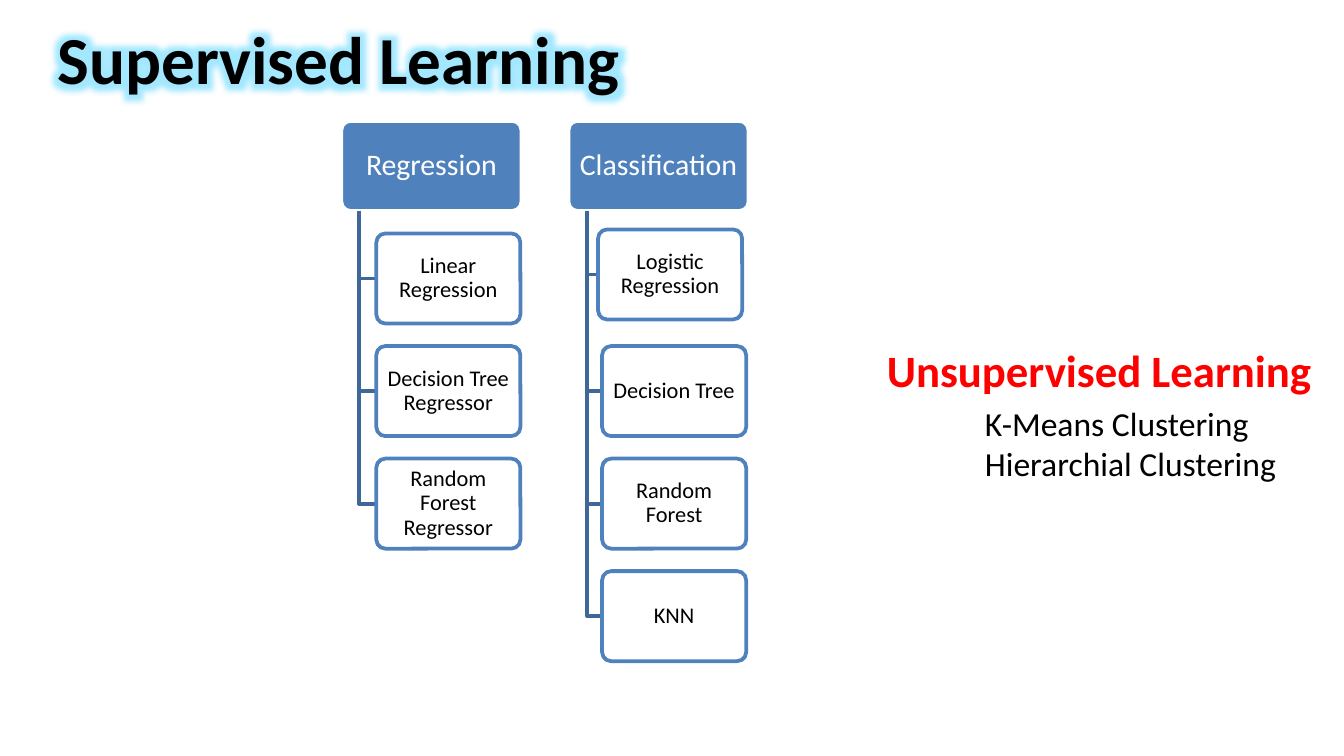
from lxml import etree
from pptx import Presentation, util as u
from pptx.dml.color import RGBColor
from pptx.enum import shapes, text
from pptx.oxml.ns import qn

COLORS = {"blue": "4F81BD", "branch": "3F6797", "white": "FFFFFF",
          "black": "000000", "red": "FF0000", "glow": "33CCFF"}
FONT = "Calibri"
SLIDE_WIDTH = 10
SLIDE_HEIGHT = SLIDE_WIDTH * 9 / 16

TITLE = "Supervised Learning"
# Heading, left edge, stem x, left edge of children, children with their (x, y) nudge
TREES = [
    ("Regression", 2.54, 2.67, 2.8, [
        ("Linear Regression", 0, 0),
        ("Decision Tree Regressor", 0, 0),
        ("Random Forest Regressor", 0, 0)]),
    ("Classification", 4.23, 4.37, 4.48, [
        ("Logistic Regression", -0.03, -0.03),
        ("Decision Tree", 0, 0),
        ("Random Forest", 0, 0),
        ("KNN", 0, 0)]),
]
# Lines, left, top, width, height, size, colour, bold
NOTES = [
    (["Unsupervised Learning"], 6.5, 2.5, 3.39, 0.5, 24, "red", True),
    (["K-Means Clustering", "Hierarchial Clustering"],
     7.23, 2.95, 2.39, 0.71, 18, "black", False),
]
TREE_TOP, BOX_HEIGHT = 0.9, 0.67
HEAD_WIDTH, CHILD_WIDTH = 2 * BOX_HEIGHT, 1.6 * BOX_HEIGHT
PITCH = 1.25 * BOX_HEIGHT


def rgb(name):
    return RGBColor.from_string(COLORS[name])


def style(font, size, color, bold=False):
    font.name, font.size, font.bold = FONT, u.Pt(size), bold
    font.color.rgb = rgb(color)


def set_alpha(color_element, percent):
    etree.SubElement(color_element, qn("a:alpha"), val=str(percent * 1000))


def add_glow(span, color, radius, alpha):
    effects = etree.Element(qn("a:effectLst"))
    glow = etree.SubElement(effects, qn("a:glow"), rad=str(u.Pt(radius)))
    set_alpha(etree.SubElement(glow, qn("a:srgbClr"), val=COLORS[color]), alpha)
    span.font._element.find(qn("a:solidFill")).addnext(effects)


def add_box(slide, label, left, top, width, fill, line, size, color):
    box = slide.shapes.add_shape(
        shapes.MSO_SHAPE.ROUNDED_RECTANGLE,
        *map(u.Inches, (left, top, width, BOX_HEIGHT)))
    box.adjustments[0] = 0.1
    box.shadow.inherit = False
    box.fill.solid()
    box.fill.fore_color.rgb = rgb(fill)
    box.line.color.rgb = rgb(line)
    box.line.width = u.Pt(2)
    frame = box.text_frame
    frame.word_wrap = True
    frame.vertical_anchor = text.MSO_ANCHOR.MIDDLE
    frame.margin_left = frame.margin_right = u.Inches(0.05)
    frame.margin_top = frame.margin_bottom = u.Inches(0.04)
    frame.text = label
    para = frame.paragraphs[0]
    para.alignment = text.PP_ALIGN.CENTER
    para.line_spacing = 0.9
    style(para.runs[0].font, size, color)
    return box


def add_branch(slide, stem, start, end_x, end_y):
    """Draw the elbow from below a heading to the side of a child box."""
    builder = slide.shapes.build_freeform(u.Inches(stem), u.Inches(start))
    builder.add_line_segments(
        [(u.Inches(stem), u.Inches(end_y)), (u.Inches(end_x), u.Inches(end_y))],
        close=False)
    branch = builder.convert_to_shape()
    branch.shadow.inherit = False
    branch.fill.background()
    branch.line.color.rgb = rgb("branch")
    branch.line.width = u.Pt(2)


def add_tree(slide, heading, left, stem, child_left, children):
    add_box(slide, heading, left, TREE_TOP, HEAD_WIDTH, "blue", "white", 16, "white")
    for row, (label, dx, dy) in enumerate(children, start=1):
        x, y = child_left + dx, TREE_TOP + row * PITCH + dy
        add_branch(slide, stem, TREE_TOP + BOX_HEIGHT, x, y + BOX_HEIGHT / 2)
        box = add_box(slide, label, x, y, CHILD_WIDTH, "white", "blue", 12, "black")
        set_alpha(box.fill._xPr.find(qn("a:solidFill"))[0], 90)


def add_title(slide):
    title = slide.shapes.title
    title.left, title.top, title.width, title.height = map(
        u.Inches, (-0.67, -0.44, 6.38, 1.27))
    frame = title.text_frame
    frame.vertical_anchor = text.MSO_ANCHOR.BOTTOM
    frame.margin_left = frame.margin_right = u.Inches(0.1)
    frame.margin_top = frame.margin_bottom = u.Inches(0.1)
    frame.text = TITLE
    para = frame.paragraphs[0]
    para.alignment = text.PP_ALIGN.CENTER
    style(para.runs[0].font, 36, "black", True)
    add_glow(para.runs[0], "glow", 14, 45)


def add_note(slide, lines, left, top, width, height, size, color, bold):
    box = slide.shapes.add_textbox(*map(u.Inches, (left, top, width, height)))
    frame = box.text_frame
    frame.word_wrap = False
    frame.auto_size = text.MSO_AUTO_SIZE.SHAPE_TO_FIT_TEXT
    frame.text = "\n".join(lines)
    for para in frame.paragraphs:
        style(para.runs[0].font, size, color, bold)


def main():
    deck = Presentation()
    deck.slide_width, deck.slide_height = map(u.Inches, (SLIDE_WIDTH, SLIDE_HEIGHT))
    slide = deck.slides.add_slide(deck.slide_layouts.get_by_name("Title Slide"))
    subtitle = slide.placeholders[1].element
    subtitle.getparent().remove(subtitle)
    add_title(slide)
    for tree in TREES:
        add_tree(slide, *tree)
    for note in NOTES:
        add_note(slide, *note)
    deck.save("out.pptx")


if __name__ == "__main__":
    main()
